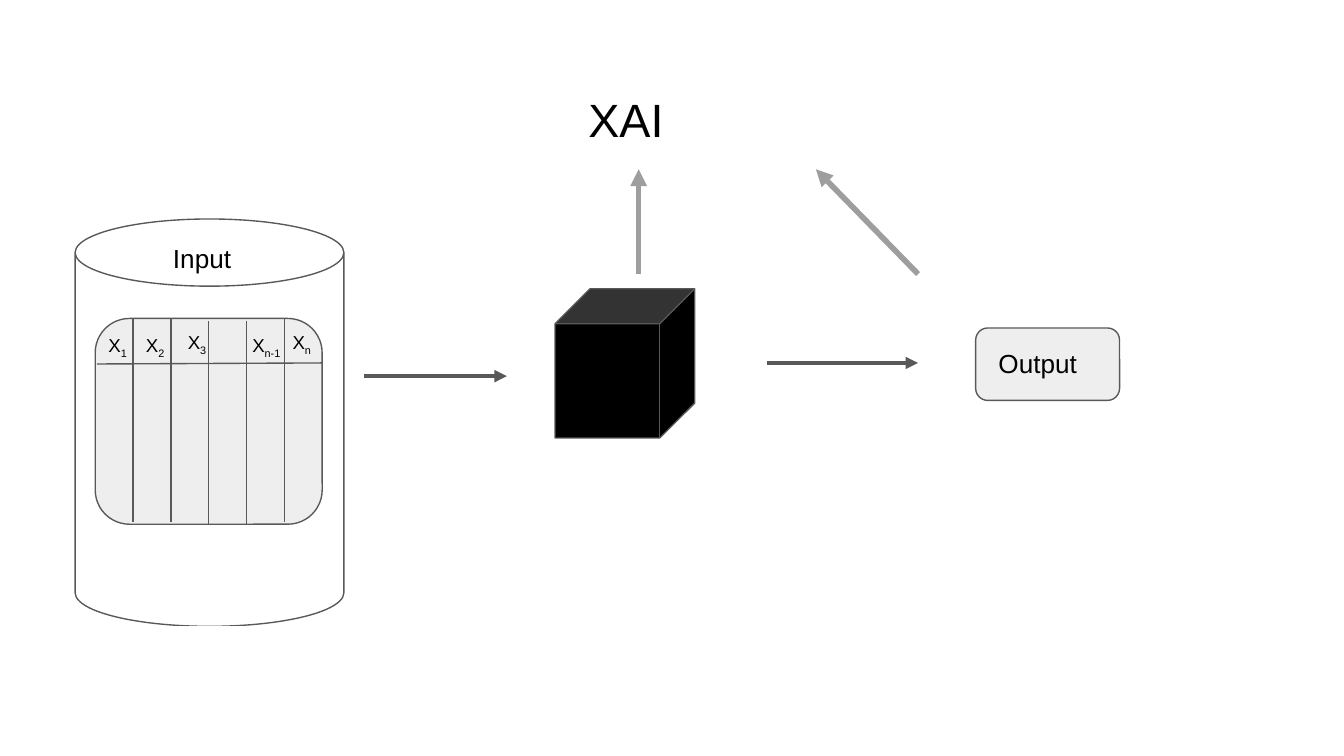
from pptx import Presentation
from pptx.dml.color import RGBColor
from pptx.enum import shapes, text
from pptx.oxml import ns
from pptx.util import Cm, Pt
from lxml import etree

BLACK = RGBColor(0, 0, 0)
WHITE = RGBColor(0xFF, 0xFF, 0xFF)
PALE = RGBColor(0xEE, 0xEE, 0xEE)
GRAY = RGBColor(0x9E, 0x9E, 0x9E)
DARK = RGBColor(0x59, 0x59, 0x59)
KIND = shapes.MSO_SHAPE
THIN = 0.75

# All places are in centimetres: left, top, width, height.
STORE = (1.42, 4.14, 5.08, 7.7)
MODEL = (10.49, 5.46, 2.64, 2.82)
RESULT = (18.44, 6.2, 2.72, 1.37)
GRID = (1.8, 6.02, 4.29, 3.89)
COVER = (2.72, 11.84, 2.24, 0.25)

# Start, end, colour, width in points
ARROWS = [
    ((6.88, 7.11), (9.58, 7.11), DARK, 2.25),
    ((14.5, 6.86), (17.35, 6.86), DARK, 2.25),
    ((12.07, 5.18), (12.07, 3.2), GRAY, 3),
    ((17.35, 5.18), (15.42, 3.2), GRAY, 3),
]
TITLES = [
    ("XAI", (10.87, 1.47, 3.66, 1.57), 25),
    ("Output", (18.62, 6.32, 2.34, 1.12), 14),
    ("Input", (3.02, 4.34, 3.58, 1.12), 14),
]
# Subscript, left, top
LABELS = [("1", 1.8, 6.07), ("2", 2.51, 6.07), ("3", 3.3, 6.02),
          ("n-1", 4.52, 6.07), ("n", 5.28, 6.02)]
COLS = 6
DROPS = [0, 0, 0.05, 0.05, 0]  # small offset of each column rule
RULE = 3.84
HEAD = ((1.83, 6.88), (6.1, 6.86))


def add_box(kind, place, fill=None, edge=DARK):
    box = slide.shapes.add_shape(kind, *map(Cm, place))
    box.shadow.inherit = False
    if fill is None:
        box.fill.background()
    else:
        box.fill.solid()
        box.fill.fore_color.rgb = fill
    box.line.color.rgb = edge
    box.line.width = Pt(THIN)


def add_line(start, end, color=DARK, width=THIN, arrow=False):
    line = slide.shapes.add_connector(
        shapes.MSO_CONNECTOR.STRAIGHT, *map(Cm, start + end))
    line.line.color.rgb = color
    line.line.width = Pt(width)
    if arrow:
        stroke = line.line._get_or_add_ln()
        etree.SubElement(stroke, ns.qn("a:tailEnd"), type="triangle")
    etree.SubElement(line._element.spPr, ns.qn("a:effectLst"))


def add_text(place, size, words, sub=""):
    """Add a text box, with an optional subscript after the words."""
    frame = slide.shapes.add_textbox(*map(Cm, place)).text_frame
    frame.word_wrap = True
    frame.auto_size = text.MSO_AUTO_SIZE.SHAPE_TO_FIT_TEXT
    frame.margin_left = frame.margin_right = Cm(0.25)
    frame.margin_top = frame.margin_bottom = Cm(0.25)
    for part in filter(None, (words, sub)):
        run = frame.paragraphs[0].add_run()
        run.text = part
        run.font.name = "Arial"
        run.font.size = Pt(size)
        run.font.color.rgb = BLACK
    if sub:
        run.font._element.set("baseline", "-25000")


deck = Presentation()
deck.slide_width, deck.slide_height = Cm(25.4), Cm(14.29)
slide = deck.slides.add_slide(deck.slide_layouts[6])

add_box(KIND.CAN, STORE)
add_box(KIND.CUBE, MODEL, BLACK)
add_box(KIND.ROUNDED_RECTANGLE, RESULT, PALE)
for start, end, color, width in ARROWS:
    add_line(start, end, color, width, arrow=True)

add_box(KIND.ROUNDED_RECTANGLE, GRID, PALE)
left, top, wide, _ = GRID
for col, drop in enumerate(DROPS, 1):
    x, y = left + col * wide / COLS, top + drop
    add_line((x, y), (x, y + RULE))
add_line(*HEAD)

for sub, x, y in LABELS:
    add_text((x, y, 1.3, 0.94), 10, "X", sub)
for words, place, size in TITLES:
    add_text(place, size, words)
add_box(KIND.RECTANGLE, COVER, WHITE, WHITE)

deck.save("out.pptx")
